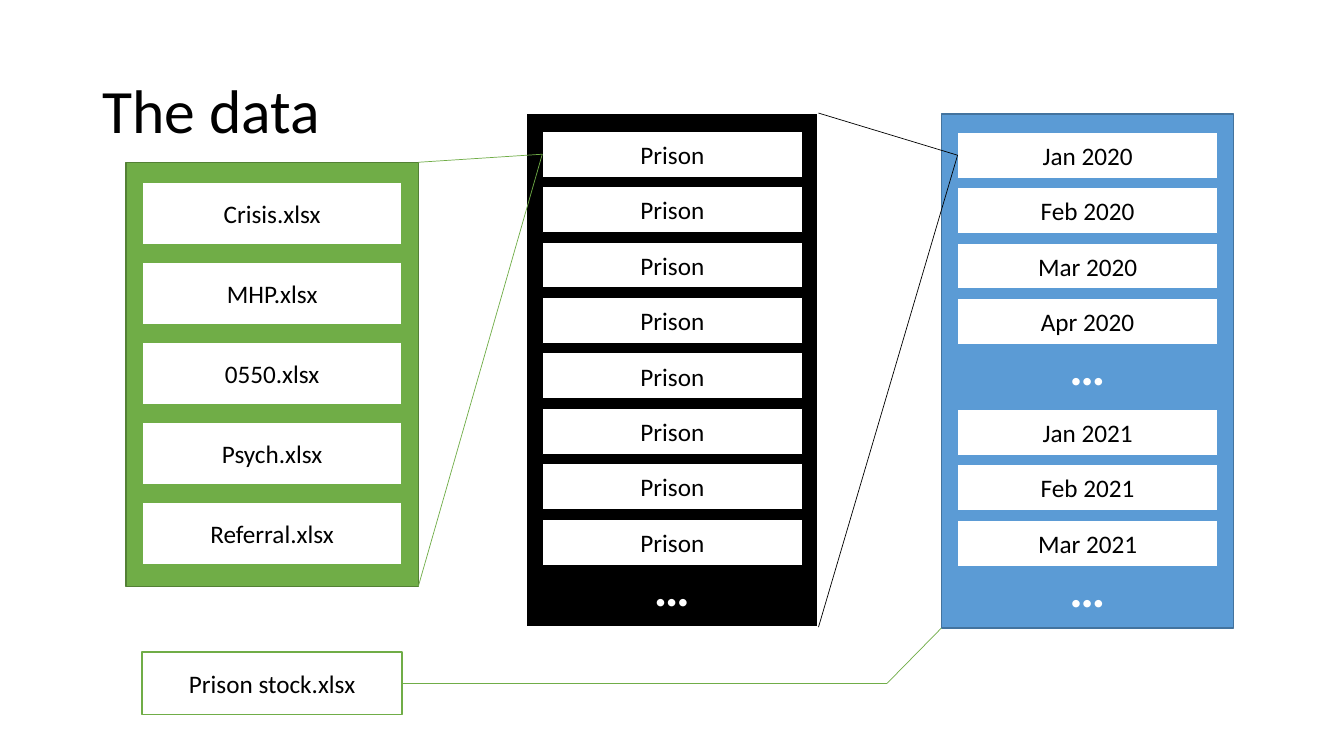
from dataclasses import dataclass

from lxml import etree
from pptx import Presentation
from pptx.dml.color import RGBColor
from pptx.enum.shapes import MSO_CONNECTOR, MSO_SHAPE
from pptx.enum.text import MSO_ANCHOR, MSO_AUTO_SIZE, PP_ALIGN
from pptx.oxml.ns import qn
from pptx.shapes.autoshape import Shape
from pptx.slide import Slide
from pptx.text.text import TextFrame
from pptx.util import Inches, Pt

RECTANGLE = MSO_SHAPE.RECTANGLE
STRAIGHT = MSO_CONNECTOR.STRAIGHT
MIDDLE = MSO_ANCHOR.MIDDLE
LEFT, CENTER = PP_ALIGN.LEFT, PP_ALIGN.CENTER
NO_AUTOFIT, GROW = MSO_AUTO_SIZE.NONE, MSO_AUTO_SIZE.SHAPE_TO_FIT_TEXT

SLIDE_WIDTH, SLIDE_HEIGHT = Inches(13.333), Inches(7.5)
COLUMNS, ROWS = 160, 90
PANEL_WIDTH, ITEM_WIDTH, ITEM_INSET = 34.8, 30.96, 1.92
FILE_HEIGHT, FILE_PITCH = 7.44, 9.51
SLOT_HEIGHT, SLOT_PITCH = 5.52, 6.6
DOTS_WIDTH, DOTS_HEIGHT, DOTS_RISE = 6.72, 8.52, 2.76
DOTS = "…"


@dataclass(frozen=True)
class Theme:
    font: str = "Calibri"
    title_size: float = 44
    item_size: float = 18
    dots_size: float = 36
    outline: float = 1
    panel_outline: float = 1.5
    link: float = 0.5
    black: str = "000000"
    white: str = "FFFFFF"
    green: str = "70AD47"
    dark_green: str = "538035"
    blue: str = "5B9BD5"
    dark_blue: str = "43739E"


THEME = Theme()


@dataclass(frozen=True)
class Point:
    column: float
    row: float


@dataclass(frozen=True)
class Box:
    column: float
    row: float
    width: float
    height: float


@dataclass(frozen=True)
class Panel:
    box: Box
    fill: str
    edge: str
    edge_width: float
    items: tuple[str, ...]
    first_row: float
    item_height: float
    pitch: float

    def item_box(self, index: int) -> Box:
        return Box(self.box.column + ITEM_INSET, self.first_row + index * self.pitch,
                   ITEM_WIDTH, self.item_height)


FILES = Panel(Box(15, 19.32, PANEL_WIDTH, 50.5), THEME.green, THEME.dark_green, THEME.outline,
              ("Crisis.xlsx", "MHP.xlsx", "0550.xlsx", "Psych.xlsx", "Referral.xlsx"),
              21.72, FILE_HEIGHT, FILE_PITCH)
PRISONS = Panel(Box(62.64, 13.46, PANEL_WIDTH, 61.2), THEME.black, THEME.white,
                THEME.panel_outline, ("Prison",) * 8 + (DOTS,), 15.6, SLOT_HEIGHT, SLOT_PITCH)
MONTHS = Panel(Box(112.08, 13.56, PANEL_WIDTH, 61.2), THEME.blue, THEME.dark_blue, THEME.outline,
               ("Jan 2020", "Feb 2020", "Mar 2020", "Apr 2020", DOTS,
                "Jan 2021", "Feb 2021", "Mar 2021", DOTS), 15.72, SLOT_HEIGHT, SLOT_PITCH)
STOCK = Box(16.92, 77.64, ITEM_WIDTH, FILE_HEIGHT)


def across(columns: float) -> int:
    return round(SLIDE_WIDTH * columns / COLUMNS)


def down(rows: float) -> int:
    return round(SLIDE_HEIGHT * rows / ROWS)


def place(box: Box) -> tuple[int, int, int, int]:
    return across(box.column), down(box.row), across(box.width), down(box.height)


def write(frame: TextFrame, words: str, size: float, color: str, align: PP_ALIGN) -> None:
    paragraph = frame.paragraphs[0]
    paragraph.alignment = align
    run = paragraph.add_run()
    run.text = words
    run.font.name = THEME.font
    run.font.size = Pt(size)
    run.font.color.rgb = RGBColor.from_string(color)
    run.font.bold = words == DOTS


def add_rectangle(slide: Slide, box: Box, fill: str, edge: str, edge_width: float) -> Shape:
    rectangle = slide.shapes.add_shape(RECTANGLE, *place(box))
    rectangle.shadow.inherit = False
    rectangle.fill.solid()
    rectangle.fill.fore_color.rgb = RGBColor.from_string(fill)
    rectangle.line.color.rgb = RGBColor.from_string(edge)
    rectangle.line.width = Pt(edge_width)
    return rectangle


def add_item(slide: Slide, box: Box, label: str, edge: str) -> None:
    item = add_rectangle(slide, box, THEME.white, edge, THEME.outline)
    item.text_frame.vertical_anchor = MIDDLE
    item.text_frame.word_wrap = True
    write(item.text_frame, label, THEME.item_size, THEME.black, CENTER)


def add_dots(slide: Slide, slot: Box) -> None:
    """Centre an ellipsis over a slot, raised because its dots sit on the baseline."""
    box = Box(slot.column + (slot.width - DOTS_WIDTH) / 2, slot.row - DOTS_RISE,
              DOTS_WIDTH, DOTS_HEIGHT)
    frame = slide.shapes.add_textbox(*place(box)).text_frame
    frame.word_wrap = False
    frame.auto_size = GROW
    write(frame, DOTS, THEME.dots_size, THEME.white, LEFT)


def add_panel(slide: Slide, panel: Panel) -> None:
    add_rectangle(slide, panel.box, panel.fill, panel.edge, panel.edge_width)
    for index, label in enumerate(panel.items):
        slot = panel.item_box(index)
        if label == DOTS:
            add_dots(slide, slot)
        else:
            add_item(slide, slot, label, panel.fill)


def add_link(slide: Slide, start: Point, end: Point, color: str) -> None:
    link = slide.shapes.add_connector(STRAIGHT, across(start.column), down(start.row),
                                      across(end.column), down(end.row))
    link.line.color.rgb = RGBColor.from_string(color)
    link.line.width = Pt(THEME.link)
    etree.SubElement(link._element.spPr, qn("a:effectLst"))


def add_zoom(slide: Slide, detail: Panel, whole: Panel) -> None:
    """Link the right corners of a panel to the first item of the next one."""
    first = whole.item_box(0)
    target = Point(first.column, first.row + first.height / 2)
    right = detail.box.column + detail.box.width
    for row in (detail.box.row, detail.box.row + detail.box.height):
        add_link(slide, Point(right, row), target, detail.fill)


def add_title(slide: Slide, words: str) -> None:
    title = slide.shapes.title
    title.left, title.top, title.width, title.height = place(Box(11, 4.8, 138, 17.4))
    frame = title.text_frame
    frame.vertical_anchor = MIDDLE
    frame.word_wrap = True
    frame.auto_size = NO_AUTOFIT
    write(frame, words, THEME.title_size, THEME.black, LEFT)
    frame.paragraphs[0].line_spacing = 0.9


def main() -> None:
    deck = Presentation()
    deck.slide_width, deck.slide_height = SLIDE_WIDTH, SLIDE_HEIGHT
    slide = deck.slides.add_slide(deck.slide_layouts.get_by_name("Title Only"))
    add_title(slide, "The data")

    add_panel(slide, FILES)
    add_panel(slide, PRISONS)
    add_zoom(slide, FILES, PRISONS)
    add_panel(slide, MONTHS)
    add_zoom(slide, PRISONS, MONTHS)

    add_item(slide, STOCK, "Prison stock.xlsx", THEME.green)
    stock_exit = Point(STOCK.column + STOCK.width, STOCK.row + STOCK.height / 2)
    bend = Point(105.6, stock_exit.row)
    months_corner = Point(MONTHS.box.column, MONTHS.box.row + MONTHS.box.height)
    add_link(slide, stock_exit, bend, THEME.green)
    add_link(slide, bend, months_corner, THEME.green)

    deck.save("out.pptx")


if __name__ == "__main__":
    main()
